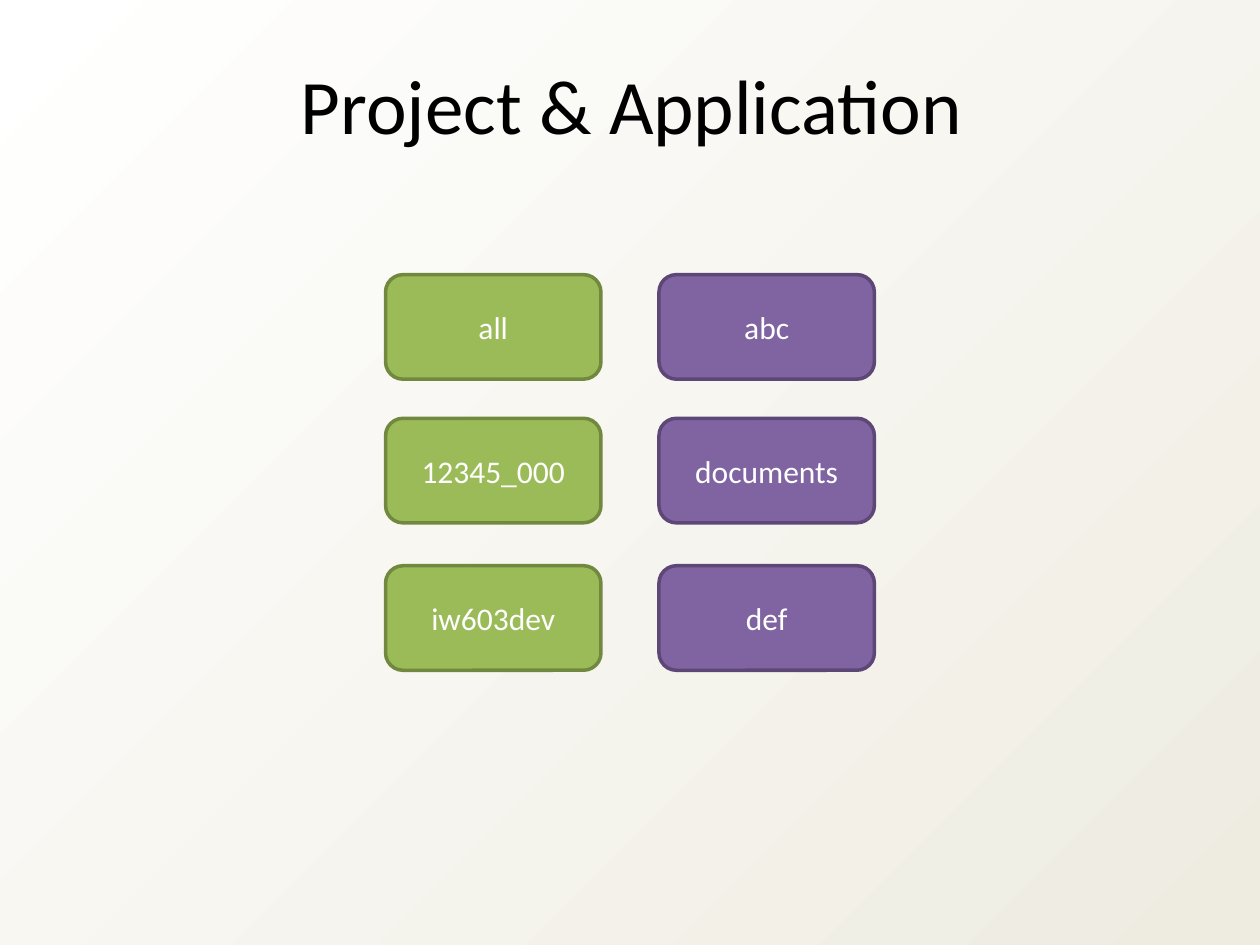
from dataclasses import dataclass

from pptx import Presentation
from pptx.dml.color import RGBColor
from pptx.enum import shapes, text
from pptx.util import Pt

TITLE = "Project & Application"
PROJECTS = ["all", "12345_000", "iw603dev"]
APPLICATIONS = ["abc", "documents", "def"]


@dataclass(frozen=True)
class Theme:
    font: str = "Calibri"
    title_size: int = 44
    label_size: int = 18
    title: str = "000000"
    label: str = "FFFFFF"
    project: tuple = ("9BBB59", "71893F")
    application: tuple = ("8064A2", "5C4776")
    background: tuple = ("FFFFFF", "EEECE1")


THEME = Theme()
SLIDE_SIZE = (720, 540)
TITLE_AREA = (12.96, 29.52, 696.24, 60.48)
CARD_SIZE = (123.12, 59.76)
ROW_TOPS = [156.96, 239.04, 323.28]
COLUMNS = [
    (220.32, PROJECTS, THEME.project),
    (376.56, APPLICATIONS, THEME.application),
]


def color(value):
    return RGBColor.from_string(value)


def write(frame, words, *, size, ink, anchor=text.MSO_ANCHOR.TOP):
    frame.word_wrap = True
    frame.vertical_anchor = anchor
    para = frame.paragraphs[0]
    para.alignment = text.PP_ALIGN.CENTER
    span = para.add_run()
    span.text = words
    span.font.name = THEME.font
    span.font.size = Pt(size)
    span.font.color.rgb = color(ink)


def paint_background(page):
    fill = page.background.fill
    fill.gradient()
    fill.gradient_angle = 315  # counter-clockwise: towards the lower right
    for stop, value, position in zip(fill.gradient_stops, THEME.background, (0, 1)):
        stop.color.rgb = color(value)
        stop.position = position


def add_title(page):
    box = page.shapes.add_textbox(*map(Pt, TITLE_AREA))
    write(box.text_frame, TITLE, size=THEME.title_size, ink=THEME.title)
    box.text_frame.auto_size = text.MSO_AUTO_SIZE.SHAPE_TO_FIT_TEXT


def add_card(group, words, left, top, colors):
    card = group.shapes.add_shape(
        shapes.MSO_SHAPE.ROUNDED_RECTANGLE, *map(Pt, (left, top, *CARD_SIZE))
    )
    fill, outline = colors
    card.shadow.inherit = False
    card.fill.solid()
    card.fill.fore_color.rgb = color(fill)
    card.line.color.rgb = color(outline)
    card.line.width = Pt(2)
    write(card.text_frame, words, size=THEME.label_size, ink=THEME.label,
          anchor=text.MSO_ANCHOR.MIDDLE)


def main():
    deck = Presentation()
    deck.slide_width, deck.slide_height = map(Pt, SLIDE_SIZE)
    page = deck.slides.add_slide(deck.slide_layouts[6])
    paint_background(page)
    add_title(page)
    group = page.shapes.add_group_shape()
    for left, labels, colors in COLUMNS:
        for top, words in zip(ROW_TOPS, labels):
            add_card(group, words, left, top, colors)
    deck.save("out.pptx")


if __name__ == "__main__":
    main()
